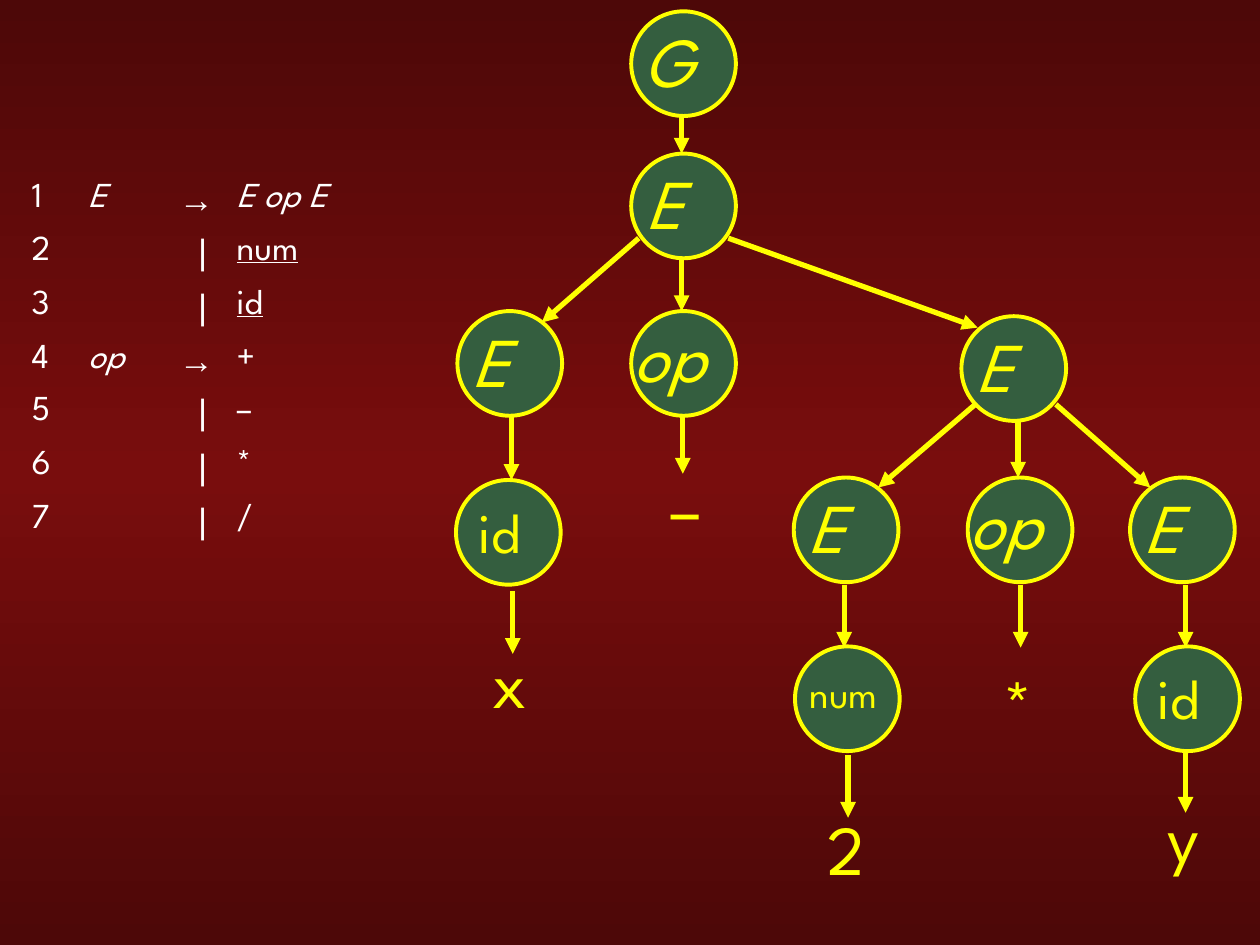
from copy import deepcopy
from pptx import Presentation
from pptx.dml.color import RGBColor
from pptx.enum.shapes import MSO_CONNECTOR as CONN, MSO_SHAPE as SHAPE
from pptx.enum.text import MSO_AUTO_SIZE as AUTO
from pptx.oxml.ns import qn
from pptx.util import Pt
from lxml.etree import SubElement

COLORS = {"edge": "4D0808", "middle": "790D0D", "node": "345E3F",
          "tree": "FFFF00", "grammar": "FFFFFF"}
FONT, SYMBOL_FONT = "League Spartan", "Arial"
NO_STYLE = "{2D5ABB26-0587-4C30-8999-92F81FD0307C}"

# Grammar: number, left side, symbol, right side
RULES = [
    ("1", "E", "→", "E op E"),
    ("2", "", "|", "num"),
    ("3", "", "|", "id"),
    ("4", "op", "→", "+"),
    ("5", "", "|", "–"),
    ("6", "", "|", "*"),
    ("7", "", "|", "/"),
]
ITALIC = {"G", "E", "op", RULES[0][3]}
UNDERLINED = {"num", "id"}
COL_WIDTHS = [32.4, 51.8, 33.1, 157]
ROW_HEIGHTS = [30.2, 31, 31, 29.5, 31, 31, 33.8]

# Parse tree: label, left, top of each circle
DIAMETER = 59.8
NODES = [
    ("G", 360.7, 6.5), ("E", 360.7, 87.8),
    ("E", 261.4, 177.8), ("op", 360.7, 177.8), ("E", 549.4, 180.7),
    ("E", 453.6, 272.9), ("op", 553, 272.9), ("E", 645.8, 272.9),
    ("id", 260.6, 274.3), ("num", 454.3, 369.4), ("id", 648.7, 369.4),
]
# Label box in its circle: dx, dy, width, height, text size
LABELS = {
    "G": (0, 0, 46.1, 55.4, 40),
    "E": (1.4, 0, 46.1, 55.4, 40),
    "op": (-6, -2.5, 69.1, 55.4, 40),
    "id": (5.8, 6.5, 46.1, 46.1, 32),
    "num": (1.4, 10.1, 72, 33.8, 22),
}
LEAVES = [("x", 274.3, 361.4), ("–", 375.8, 261.4), ("2", 465.8, 456.5),
          ("*", 566.6, 373.7), ("y", 660.2, 449.3)]

# Arrows: tops of the equal vertical ones, then ends of the others
DROP = 36
DROPS = [(389.5, 141.8), (390.2, 234.7), (581.8, 236.9), (292.3, 238.3),
         (482.4, 334.1), (583.2, 334.1), (677.5, 334.1),
         (293, 337.7), (677.5, 428.4), (484.6, 431.3)]
BRANCHES = [(389.5, 66.2, 389.5, 87.8),
            (365, 136.1, 309.6, 184.3), (416.2, 136.1, 558.7, 187.2),
            (557.3, 231.1, 501.8, 278.6), (603.4, 231.1, 657.4, 278.6)]


def rgb(name):
    return RGBColor.from_string(COLORS[name])


def style(p, size, color, font=FONT):
    for r in p.runs:
        f = r.font
        f.name, f.size, f.color.rgb = font, Pt(size), rgb(color)
        f.italic = r.text in ITALIC


def add_label(s, text, x, y, w, h, size):
    tf = s.shapes.add_textbox(Pt(x), Pt(y), Pt(w), Pt(h)).text_frame
    tf.word_wrap, tf.auto_size = True, AUTO.SHAPE_TO_FIT_TEXT
    tf.text = text
    style(tf.paragraphs[0], size, "tree")


def add_arrow(s, *ends):
    c = s.shapes.add_connector(CONN.STRAIGHT, *map(Pt, ends))
    c.line.color.rgb, c.line.width = rgb("tree"), Pt(3)
    SubElement(c.line._get_or_add_ln(), qn("a:tailEnd"), type="triangle")
    SubElement(c.element.spPr, qn("a:effectLst"))


def add_node(s, label, x, y):
    sp = s.shapes.add_shape(SHAPE.OVAL, Pt(x), Pt(y), Pt(DIAMETER), Pt(DIAMETER))
    sp.shadow.inherit = False
    sp.fill.solid()
    sp.fill.fore_color.rgb = rgb("node")
    sp.line.color.rgb, sp.line.width = rgb("tree"), Pt(2.25)
    dx, dy, w, h, size = LABELS[label]
    add_label(s, label, x + dx, y + dy, w, h, size)


def add_background(s):
    fill = s.background.fill
    fill.gradient()
    fill.gradient_angle = 90
    stops = s.element.find(".//" + qn("a:gsLst"))
    stops.insert(1, deepcopy(stops[0]))
    for stop, position, name in zip(fill.gradient_stops, (0, 0.5, 1),
                                    ("edge", "middle", "edge")):
        stop.position, stop.color.rgb = position, rgb(name)


def add_grammar(s):
    frame = s.shapes.add_table(len(RULES), len(COL_WIDTHS), Pt(10.8), Pt(101.5),
                               Pt(sum(COL_WIDTHS)), Pt(sum(ROW_HEIGHTS)))
    table = frame.table
    table.first_row = table.horz_banding = False
    frame.element.find(".//" + qn("a:tableStyleId")).text = NO_STYLE
    for col, width in zip(table.columns, COL_WIDTHS):
        col.width = Pt(width)
    for i, rule in enumerate(RULES):
        table.rows[i].height = Pt(ROW_HEIGHTS[i])
        for j, text in enumerate(rule):
            cell = table.cell(i, j)
            cell.fill.background()
            cell.text = text
            p = cell.text_frame.paragraphs[0]
            p.line_spacing = 0.9
            style(p, 20, "grammar", SYMBOL_FONT if j == 2 else FONT)
            for r in p.runs:
                r.font.bold = text == "→"
                r.font.underline = text in UNDERLINED
            if text == "|":
                cell.margin_left = Pt(18.3)


def main():
    prs = Presentation()
    prs.slide_width, prs.slide_height = Pt(720), Pt(540)
    s = prs.slides.add_slide(prs.slide_layouts[6])
    add_background(s)
    add_grammar(s)
    # Arrows lie behind the circles
    for x, y in DROPS:
        add_arrow(s, x, y, x, y + DROP)
    for ends in BRANCHES:
        add_arrow(s, *ends)
    for node in NODES:
        add_node(s, *node)
    for text, x, y in LEAVES:
        add_label(s, text, x, y, 35.3, 55.4, 40)
    prs.save("out.pptx")


if __name__ == "__main__":
    main()
